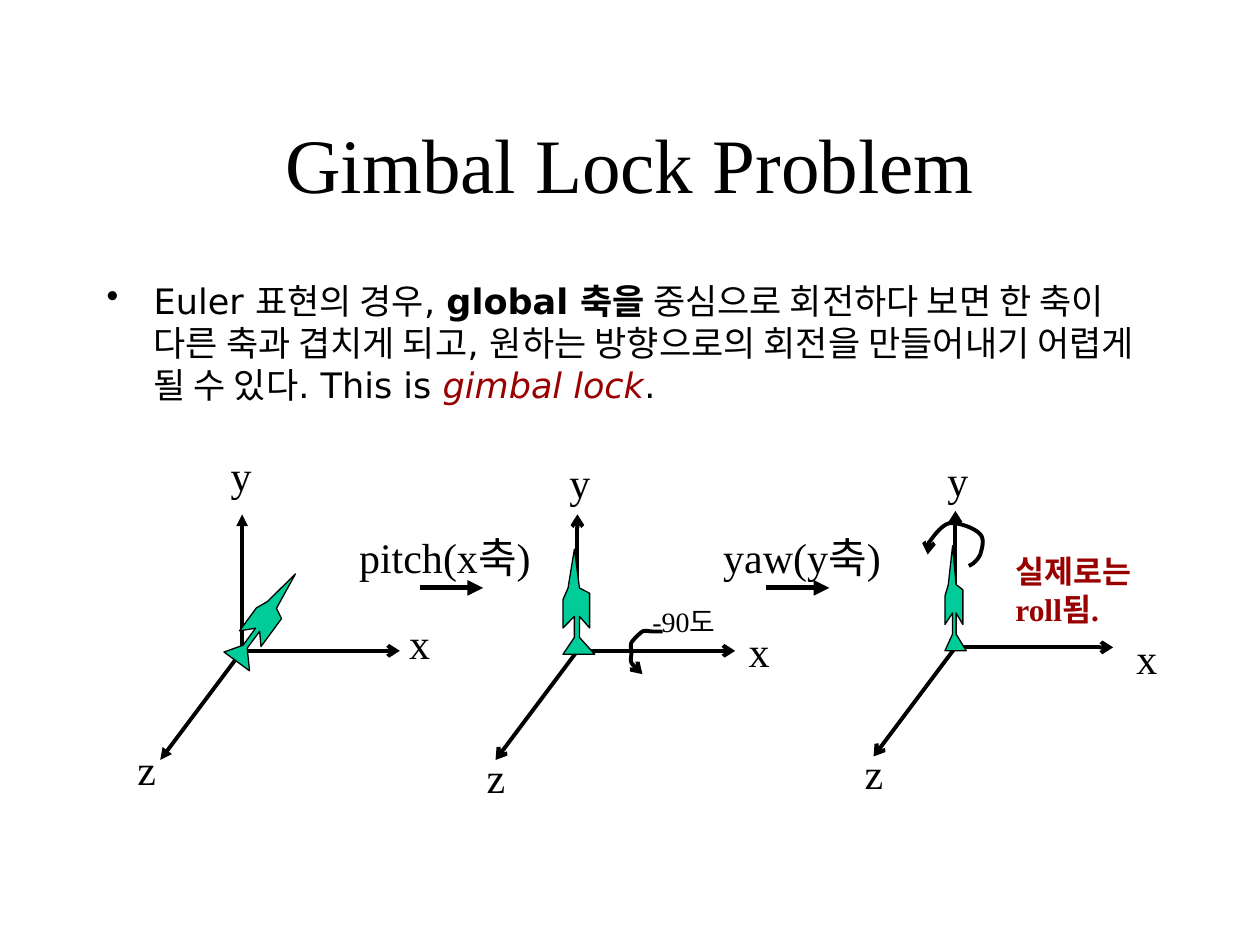
import lxml.etree
import pptx
import pptx.dml.color
import pptx.enum.shapes
import pptx.enum.text
import pptx.oxml.ns
import pptx.util

Cm = pptx.util.Cm
Pt = pptx.util.Pt
qn = pptx.oxml.ns.qn
SERIF = "Times New Roman"
SANS = "DejaVu Sans"
BLACK, RED, GREEN = "000000", "990000", "00CC99"

ROCKET = [(.16, .37), (.36, 0), (.52, .37), (.84, .42), (.84, .75), (.52, .64), (.52, .84),
          (1, 1), (0, 1), (.36, .84), (.36, .64), (0, .75), (0, .48)]
PITCH_TURN = [(.66, .03), (.61, .03), (.53, .03), (.46, .03), (.38, .03), (.3, 0), (.25, .03),
              (.18, .08), (.08, .18), (.03, .25), (0, .33), (.03, .38), (.03, .46),
              (.03, .53), (0, .61), (.03, .66), (.08, .74), (.15, .81), (.25, .89)]
ROLL_TURN = [(.91, .89), (1.02, .84), (1.09, .76), (1.14, .66), (1.17, .56), (1.24, .36),
             (1.14, .25), (1.04, .13), (.69, 0), (.51, .03), (.33, .08), (.15, .36),
             (.08, .46), (0, .56), (.05, .61), (.08, .66)]


def color(value):
    """Return the colour of a hex string."""
    return pptx.dml.color.RGBColor.from_string(value)


def style_line(shape, width, tip=None):
    """Give a shape a black outline and, if named, an arrowhead at its end."""
    shape.line.color.rgb = color(BLACK)
    shape.line.width = Pt(width)
    if tip:
        outline = shape.element.spPr.find(qn("a:ln"))
        lxml.etree.SubElement(outline, qn("a:tailEnd"), type=tip)


def add_arrow(slide, start, end, width, tip):
    """Draw a straight arrow between two points."""
    arrow = slide.shapes.add_connector(
        pptx.enum.shapes.MSO_CONNECTOR.STRAIGHT, *(Cm(v) for v in (*start, *end)))
    style_line(arrow, width, tip)
    lxml.etree.SubElement(arrow.element.spPr, qn("a:effectLst"))


def add_run(paragraph, text, size, font=SERIF, tint=BLACK, bold=False, italic=False):
    """Add one formatted run to a paragraph."""
    run = paragraph.add_run()
    run.text = text
    run.font.size = Pt(size)
    run.font.name = font
    run.font.color.rgb = color(tint)
    run.font.bold = bold
    run.font.italic = italic


def add_frame(slide, left, top, width, height, wrap=False):
    """Add a text box and return its text frame."""
    frame = slide.shapes.add_textbox(Cm(left), Cm(top), Cm(width), Cm(height)).text_frame
    frame.word_wrap = wrap
    return frame


def add_label(slide, text, left, top, width=0.9, height=1.27, size=24):
    """Add a single-line label."""
    add_run(add_frame(slide, left, top, width, height).paragraphs[0], text, size)


def add_title(slide, left, top, width, height):
    """Add the centred heading."""
    frame = add_frame(slide, left, top, width, height, wrap=True)
    frame.vertical_anchor = pptx.enum.text.MSO_ANCHOR.MIDDLE
    frame.paragraphs[0].alignment = pptx.enum.text.PP_ALIGN.CENTER
    add_run(frame.paragraphs[0], "Gimbal Lock Problem", 44)


def add_explanation(slide, left, top, width, height):
    """Add the bulleted explanation of gimbal lock."""
    paragraph = add_frame(slide, left, top, width, height, wrap=True).paragraphs[0]
    paragraph.space_before = Pt(5)
    properties = paragraph._p.get_or_add_pPr()
    properties.set("marL", str(Cm(0.95)))
    properties.set("indent", str(-Cm(0.95)))
    lxml.etree.SubElement(properties, qn("a:buChar"), char="•")
    add_run(paragraph, "Euler 표현의 경우, ", 20, SANS)
    add_run(paragraph, "global 축을 ", 20, SANS, bold=True)
    add_run(paragraph, "중심으로 회전하다 보면 한 축이 다른 축과 겹치게 되고, "
            "원하는 방향으로의 회전을 만들어내기 어렵게 될 수 있다. This is ", 20, SANS)
    add_run(paragraph, "gimbal lock", 20, SANS, RED, italic=True)
    add_run(paragraph, ".", 20, SANS)


def add_axes(slide, x, y, label_offsets, tip="arrow"):
    """Draw the three labelled axes around an origin."""
    for (dx, dy), axis_tip in (((0, -2.75), tip), ((-1.65, 2.2), tip), ((3.18, 0), "arrow")):
        add_arrow(slide, (x, y), (x + dx, y + dy), 2.25, axis_tip)
    for name, (dx, dy) in zip("xyz", label_offsets):
        add_label(slide, name, x + dx, y + dy)


def add_outline(slide, left, top, points, close):
    """Build a freeform from points relative to a corner."""
    corners = [(Cm(left + x), Cm(top + y)) for x, y in points]
    builder = slide.shapes.build_freeform(*corners[0])
    builder.add_line_segments(corners[1:], close=close)
    outline = builder.convert_to_shape()
    outline.shadow.inherit = False
    return outline


def add_rocket(slide, left, top, width, height=2.12, rotation=0):
    """Draw the rocket in its box."""
    points = [(x * width, y * height) for x, y in ROCKET]
    rocket = add_outline(slide, left, top, points, True)
    rocket.fill.solid()
    rocket.fill.fore_color.rgb = color(GREEN)
    rocket.rotation = rotation
    style_line(rocket, 0.75)


def bezier_points(controls, steps=8):
    """Sample a chain of cubic curves."""
    points = [controls[0]]
    for first in range(0, len(controls) - 1, 3):
        a, b, c, d = controls[first:first + 4]
        for step in range(1, steps + 1):
            t = step / steps
            u = 1 - t
            points.append(tuple(
                u ** 3 * p + 3 * u * u * t * q + 3 * u * t * t * r + t ** 3 * s
                for p, q, r, s in zip(a, b, c, d)))
    return points


def add_turn(slide, left, top, controls):
    """Draw a curved rotation arrow."""
    turn = add_outline(slide, left, top, bezier_points(controls), False)
    turn.fill.background()
    style_line(turn, 2.25, "arrow")


def add_step(slide, text, left, top, width, arrow_offset):
    """Add a rotation name with the arrow below it."""
    start = left + arrow_offset
    add_arrow(slide, (start, top + 1.27), (start + 1.27, top + 1.27), 3, "triangle")
    add_label(slide, text, left, top, width)


def add_start_pose(slide, x, y):
    """Draw the tilted rocket on its axes."""
    add_axes(slide, x, y, ((3.12, -0.79), (-0.48, -4.19), (-2.36, 1.75)), "triangle")
    add_rocket(slide, x + 0.2, y - 1.7, 0.64, rotation=36.3)


def add_pitch_pose(slide, x, y):
    """Draw the rocket after the pitch."""
    add_axes(slide, x, y, ((3.2, -0.64), (-0.41, -4.04), (-2.08, 1.9)))
    add_rocket(slide, x - 0.29, y - 2.05, 0.64)
    add_turn(slide, x + 1.06, y - 0.42, PITCH_TURN)
    add_label(slide, "-90도", x + 1.26, y - 1.06, 2.16, 0.94, 16)


def add_yaw_pose(slide, x, y):
    """Draw the rocket after the yaw, with its remark."""
    add_axes(slide, x, y, ((3.4, -0.43), (-0.41, -4.01), (-2.08, 1.9)))
    add_turn(slide, x - 0.64, y - 2.53, ROLL_TURN)
    add_rocket(slide, x - 0.21, y - 2.05, 0.43)
    remark = add_frame(slide, x + 0.96, y - 2.05, 2.84, 1.78)
    add_run(remark.paragraphs[0], "실제로는", 18, tint=RED, bold=True)
    add_run(remark.add_paragraph(), "roll됨.", 18, tint=RED, bold=True)


def main():
    """Build and save the slide."""
    deck = pptx.Presentation()
    deck.slide_width, deck.slide_height = Cm(25.4), Cm(19.05)
    slide = deck.slides.add_slide(deck.slide_layouts[6])
    add_title(slide, 1.9, 1.7, 21.6, 3.18)
    add_explanation(slide, 1.9, 5.5, 21.6, 11.43)
    add_start_pose(slide, 4.88, 13.12)
    add_pitch_pose(slide, 11.64, 13.12)
    add_yaw_pose(slide, 19.26, 13.05)
    add_step(slide, "pitch(x축)", 6.99, 10.58, 4.37, 1.48)
    add_step(slide, "yaw(y축)", 14.33, 10.58, 4.09, 1.12)
    deck.save("out.pptx")


if __name__ == "__main__":
    main()
